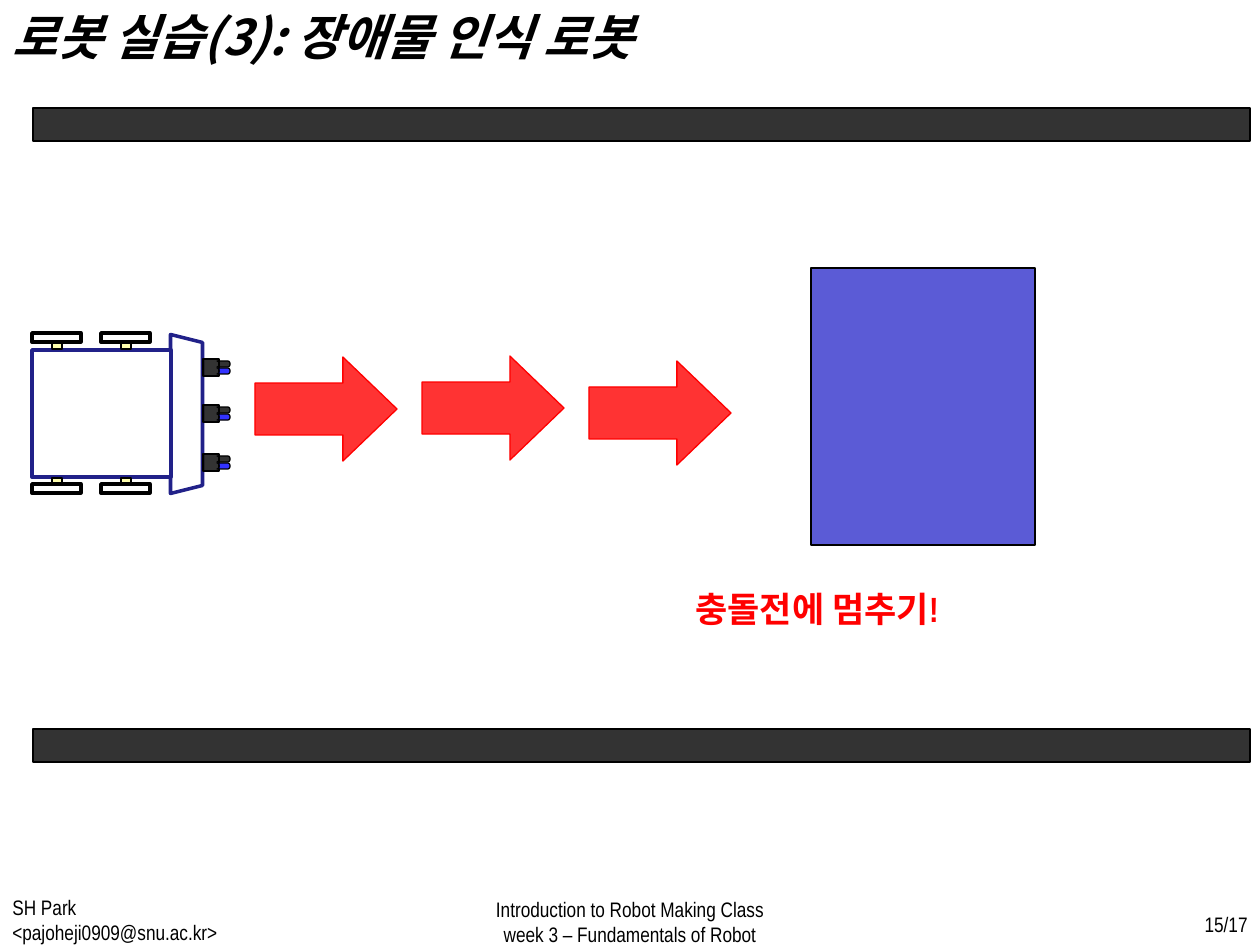
from dataclasses import dataclass
from itertools import product

from lxml import etree
from pptx import Presentation
from pptx.dml.color import RGBColor
from pptx.enum.shapes import MSO_SHAPE
from pptx.enum.text import MSO_ANCHOR, PP_ALIGN
from pptx.oxml.ns import qn
from pptx.shapes.autoshape import Shape
from pptx.shapes.shapetree import GroupShapes, SlideShapes
from pptx.util import Emu, Pt

RECTANGLE = MSO_SHAPE.RECTANGLE
RIGHT_ARROW = MSO_SHAPE.RIGHT_ARROW
TRAPEZOID = MSO_SHAPE.TRAPEZOID
CAPSULE = MSO_SHAPE.FLOWCHART_STORED_DATA
LEFT, CENTER, RIGHT = PP_ALIGN.LEFT, PP_ALIGN.CENTER, PP_ALIGN.RIGHT
TOP, MIDDLE = MSO_ANCHOR.TOP, MSO_ANCHOR.MIDDLE

EMU_PER_PX = 914400 / 126
SLIDE_WIDTH, SLIDE_HEIGHT = 1260, 945


@dataclass(frozen=True)
class Theme:
    black: str = "000000"
    white: str = "FFFFFF"
    red: str = "FF0000"
    navy: str = "212189"
    obstacle: str = "3333CC"
    emitter: str = "0000FF"
    axle: str = "FFFF99"
    alpha: int = 80
    thin: float = 0.75
    thick: float = 2
    title_size: int = 28
    callout_size: int = 20
    footer_size: int = 12
    latin_font: str = "Arial Narrow"
    korean_font: str = "Noto Sans CJK KR"


THEME = Theme()


@dataclass(frozen=True)
class Box:
    left: int
    top: int
    width: int
    height: int

    def emu(self) -> list[Emu]:
        return [px(n) for n in (self.left, self.top, self.width, self.height)]


@dataclass(frozen=True)
class Style:
    fill: str
    line: str = THEME.black
    weight: float = THEME.thin
    alpha: int = THEME.alpha


WALL = Style(THEME.black)
ARROW = Style(THEME.red, THEME.red)
OBSTACLE = Style(THEME.obstacle)
EMITTER = Style(THEME.emitter)
AXLE = Style(THEME.axle)
BODY = Style(THEME.white, THEME.navy, THEME.thick, 100)
WHEEL = Style(THEME.white, THEME.black, THEME.thick, 100)


def px(length: float) -> Emu:
    return Emu(round(length * EMU_PER_PX))


def add_part(shapes: SlideShapes | GroupShapes, kind: MSO_SHAPE, box: Box,
             style: Style, rotation: int = 0) -> Shape:
    shape = shapes.add_shape(kind, *box.emu())
    shape.shadow.inherit = False
    shape.rotation = rotation
    shape.fill.solid()
    shape.fill.fore_color.rgb = RGBColor.from_string(style.fill)
    if style.alpha < 100:
        color = shape.fill._xPr.find(f"{qn('a:solidFill')}/{qn('a:srgbClr')}")
        etree.SubElement(color, qn("a:alpha"), val=str(style.alpha * 1000))
    shape.line.color.rgb = RGBColor.from_string(style.line)
    shape.line.width = Pt(style.weight)
    return shape


def add_text(shapes: SlideShapes, box: Box, text: str, *,
             size: int = THEME.footer_size, color: str = THEME.black,
             font: str = THEME.latin_font, bold: bool = False,
             italic: bool = False, align: PP_ALIGN = LEFT,
             anchor: MSO_ANCHOR = TOP) -> None:
    """Add a text box with one paragraph for each line of the text."""
    frame = shapes.add_textbox(*box.emu()).text_frame
    frame.word_wrap = True
    frame.vertical_anchor = anchor
    frame.text = text
    for paragraph in frame.paragraphs:
        paragraph.alignment = align
        for run in paragraph.runs:
            run.font.size = Pt(size)
            run.font.bold = bold
            run.font.italic = italic
            run.font.color.rgb = RGBColor.from_string(color)
            run.font.name = font
            etree.SubElement(run._r.get_or_add_rPr(), qn("a:ea"),
                             typeface=THEME.korean_font)


def add_arrows(shapes: SlideShapes) -> None:
    group = shapes.add_group_shape().shapes
    for index, top in enumerate((357, 356, 361)):
        arrow = add_part(group, RIGHT_ARROW,
                         Box(255 + 167 * index, top, 142, 104), ARROW)
        arrow.adjustments[0] = 0.5
        arrow.adjustments[1] = 0.52


def add_sensor(shapes: GroupShapes, left: int, top: int) -> None:
    add_part(shapes, RECTANGLE, Box(left, top, 16, 17), WALL)
    for offset, style in ((9, EMITTER), (2, WALL)):
        add_part(shapes, CAPSULE, Box(left + 14, top + offset, 13, 6), style,
                 rotation=180)


def add_robot(shapes: SlideShapes) -> None:
    group = shapes.add_group_shape().shapes
    add_part(group, TRAPEZOID, Box(107, 398, 159, 32), BODY, rotation=90)
    add_part(group, RECTANGLE, Box(32, 350, 139, 127), BODY)
    for top in (454, 405, 359):
        add_sensor(group, 203, top)
    for (wheel_top, axle_top), left in product(((484, 478), (333, 340)),
                                               (101, 32)):
        add_part(group, RECTANGLE, Box(left + 20, axle_top, 10, 9), AXLE)
        add_part(group, RECTANGLE, Box(left, wheel_top, 49, 9), WHEEL)


def main() -> None:
    presentation = Presentation()
    presentation.slide_width = px(SLIDE_WIDTH)
    presentation.slide_height = px(SLIDE_HEIGHT)
    slide = presentation.slides.add_slide(presentation.slide_layouts[6])
    shapes = slide.shapes

    add_text(shapes, Box(0, 0, SLIDE_WIDTH, 72), "로봇 실습(3): 장애물 인식 로봇",
             size=THEME.title_size, font=THEME.korean_font, bold=True,
             italic=True, anchor=MIDDLE)
    add_text(shapes, Box(1176, 905, 84, 40), "15/17", align=RIGHT)
    add_text(shapes, Box(0, 890, SLIDE_WIDTH, 55),
             "Introduction to Robot Making Class\n"
             "week 3 – Fundamentals of Robot", align=CENTER)
    add_text(shapes, Box(0, 888, 241, 57), "SH Park <pajoheji0909@snu.ac.kr>")

    for top in (108, 729):
        add_part(shapes, RECTANGLE, Box(33, top, 1217, 33), WALL)
    add_arrows(shapes)
    add_part(shapes, RECTANGLE, Box(811, 268, 224, 277), OBSTACLE)
    add_robot(shapes)
    add_text(shapes, Box(683, 581, 529, 55), "충돌전에 멈추기!",
             size=THEME.callout_size, color=THEME.red, bold=True)

    presentation.save("out.pptx")


if __name__ == "__main__":
    main()
